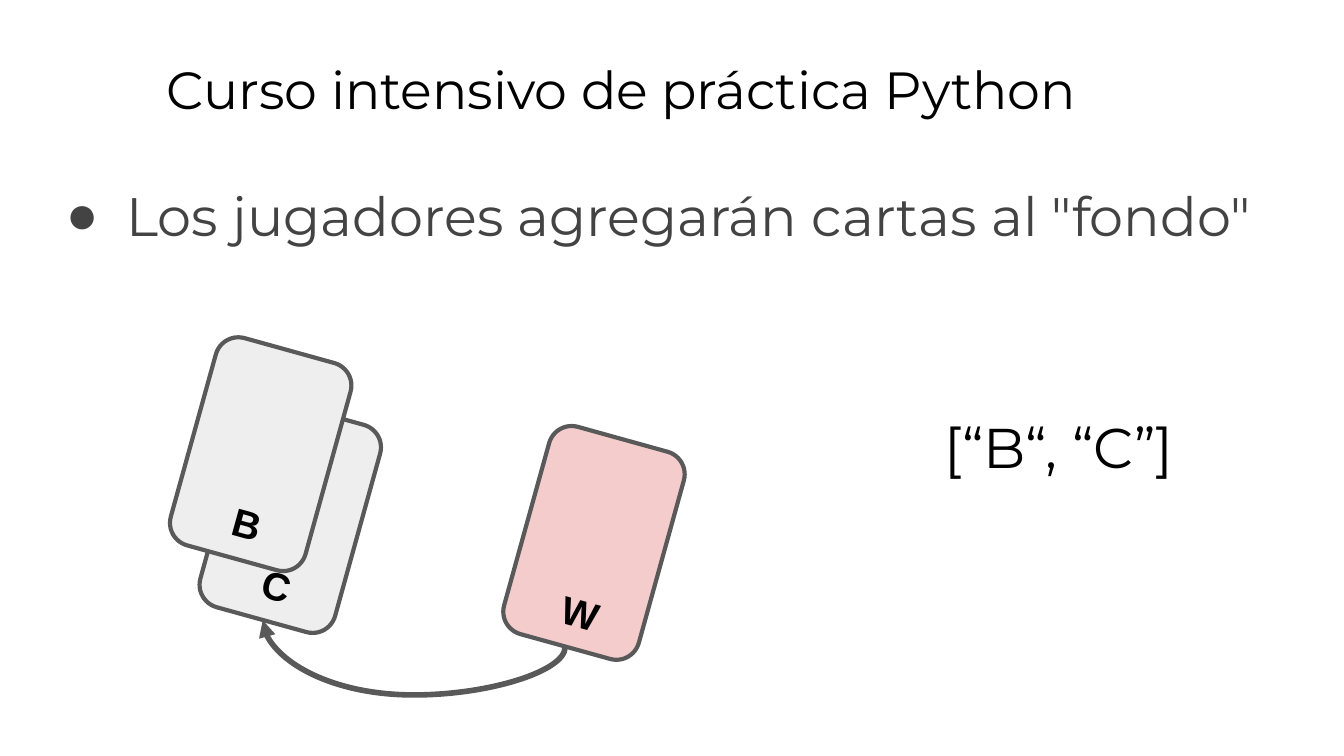
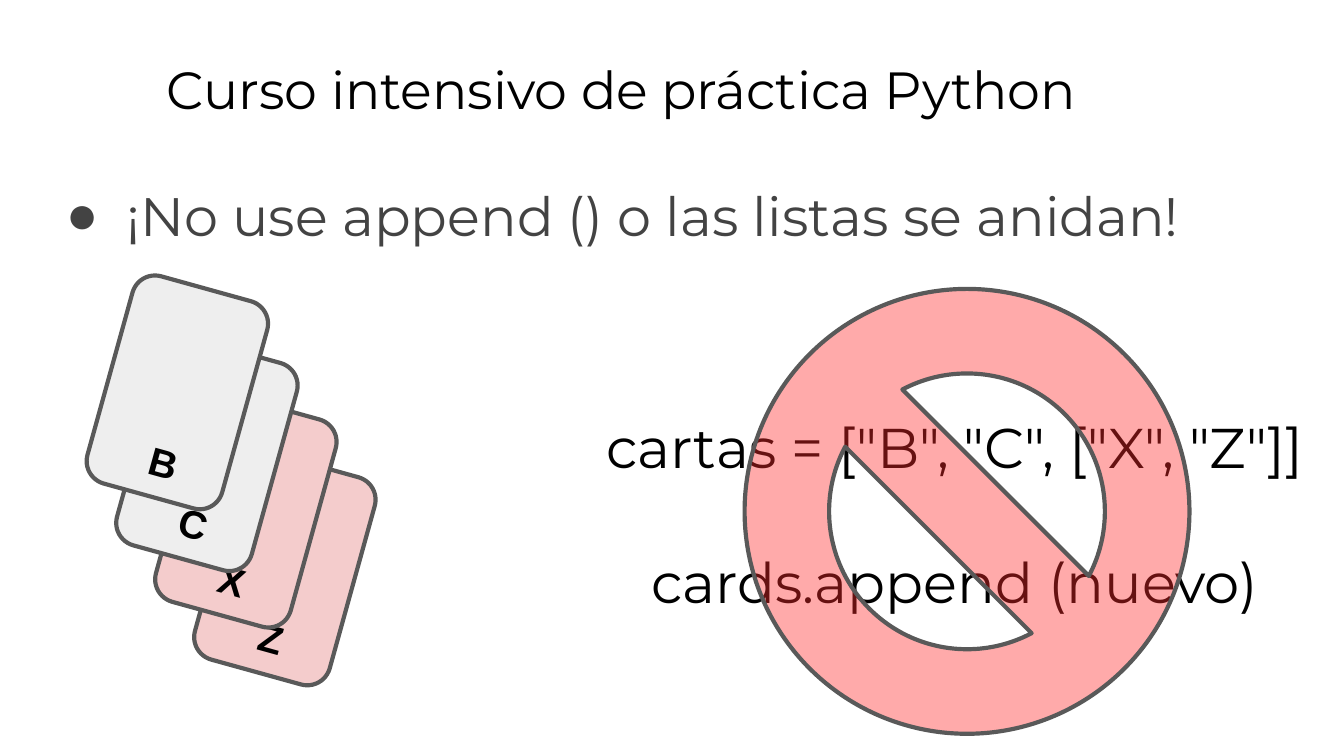
from dataclasses import dataclass

from lxml.etree import SubElement
from pptx import Presentation
from pptx.dml.color import RGBColor
from pptx.enum.shapes import MSO_CONNECTOR, MSO_SHAPE
from pptx.enum.text import MSO_ANCHOR, MSO_AUTO_SIZE, PP_ALIGN
from pptx.oxml.ns import qn
from pptx.shapes.autoshape import Shape
from pptx.slide import Slide
from pptx.text.text import TextFrame, _Paragraph
from pptx.util import Emu, Inches, Pt

SLIDE_WIDTH = Inches(10)
SLIDE_HEIGHT = Emu(SLIDE_WIDTH * 9 // 16)
CELL = SLIDE_WIDTH // 100
INSET = 1

BLACK, BODY_GRAY, OUTLINE = "000000", "434343", "595959"
CARD_GRAY, CARD_PINK, BAN_RED = "EEEEEE", "F4CCCC", "FF2C2C"
TEXT_FONT, CARD_FONT = "Montserrat", "Arial"
COURSE_TITLE = "Curso intensivo de práctica Python"

CARD_TILT = 15.5
PILE_OFFSETS = ((0, 0), (2.2, 4.6), (5.1, 8.8), (8, 13.1))


@dataclass(frozen=True)
class Area:
    column: float
    row: float
    columns: float
    rows: float

    def lengths(self) -> tuple[Emu, Emu, Emu, Emu]:
        return (grid(self.column), grid(self.row), grid(self.columns), grid(self.rows))


@dataclass(frozen=True)
class Card:
    letter: str
    fill: str = CARD_GRAY


@dataclass(frozen=True)
class TextStyle:
    size: float
    color: str = BLACK
    font: str = TEXT_FONT
    bold: bool = False


TITLE_AREA = Area(11.4, 3.25, 85.2, 6.3)
BODY_AREA = Area(3.4, 12.6, 95, 11)
TITLE_STYLE = TextStyle(28)
BODY_STYLE = TextStyle(29, BODY_GRAY)
CODE_STYLE = TextStyle(30)
CARD_STYLE = TextStyle(21, font=CARD_FONT, bold=True)


def grid(cells: float) -> Emu:
    return Emu(round(cells * CELL))


def rgb(color: str) -> RGBColor:
    return RGBColor.from_string(color)


def prepare_frame(frame: TextFrame, anchor: MSO_ANCHOR = MSO_ANCHOR.TOP) -> None:
    frame.word_wrap = True
    frame.auto_size = MSO_AUTO_SIZE.NONE
    frame.vertical_anchor = anchor
    frame.margin_left = frame.margin_right = grid(INSET)
    frame.margin_top = frame.margin_bottom = grid(INSET)


def write(paragraph: _Paragraph, text: str, style: TextStyle, alignment: PP_ALIGN) -> None:
    paragraph.alignment = alignment
    paragraph.space_before = Pt(0)
    run = paragraph.add_run()
    run.text = text
    run.font.name = style.font
    run.font.size = Pt(style.size)
    run.font.bold = style.bold
    run.font.color.rgb = rgb(style.color)


def add_bullet(paragraph: _Paragraph) -> None:
    properties = paragraph._p.get_or_add_pPr()
    properties.set("marL", str(Inches(0.5)))
    properties.set("indent", str(-Inches(0.45)))
    color = SubElement(properties, qn("a:buClr"))
    SubElement(color, qn("a:srgbClr"), val=BODY_GRAY)
    SubElement(properties, qn("a:buFont"), typeface=CARD_FONT)
    SubElement(properties, qn("a:buChar"), char="●")


def fill_placeholder(shape: Shape, area: Area, text: str, style: TextStyle) -> _Paragraph:
    shape.left, shape.top, shape.width, shape.height = area.lengths()
    prepare_frame(shape.text_frame)
    paragraph = shape.text_frame.paragraphs[0]
    write(paragraph, text, style, PP_ALIGN.LEFT)
    return paragraph


def add_course_slide(presentation: Presentation, point: str) -> Slide:
    slide = presentation.slides.add_slide(presentation.slide_layouts[1])
    fill_placeholder(slide.shapes.title, TITLE_AREA, COURSE_TITLE, TITLE_STYLE)
    add_bullet(fill_placeholder(slide.placeholders[1], BODY_AREA, point, BODY_STYLE))
    return slide


def add_outlined(slide: Slide, kind: MSO_SHAPE, area: Area, fill: str) -> Shape:
    shape = slide.shapes.add_shape(kind, *area.lengths())
    shape.shadow.inherit = False
    shape.fill.solid()
    shape.fill.fore_color.rgb = rgb(fill)
    shape.line.color.rgb = rgb(OUTLINE)
    shape.line.width = Pt(2.25)
    return shape


def add_card(slide: Slide, card: Card, column: float, row: float) -> None:
    shape = add_outlined(slide, MSO_SHAPE.ROUNDED_RECTANGLE, Area(column, row, 10.4, 16), card.fill)
    shape.rotation = CARD_TILT
    frame = shape.text_frame
    prepare_frame(frame, MSO_ANCHOR.BOTTOM)
    frame.margin_left = grid(INSET + 0.8)
    frame.margin_bottom = grid(0.5)
    write(frame.paragraphs[0], card.letter, CARD_STYLE, PP_ALIGN.CENTER)


def add_pile(slide: Slide, cards: list[Card], column: float, row: float) -> None:
    for card, (right, down) in reversed(list(zip(cards, PILE_OFFSETS))):
        add_card(slide, card, column + right, row + down)


def add_code(slide: Slide, area: Area, lines: list[str]) -> None:
    frame = slide.shapes.add_textbox(*area.lengths()).text_frame
    prepare_frame(frame)
    for index, line in enumerate(lines):
        paragraph = frame.add_paragraph() if index else frame.paragraphs[0]
        write(paragraph, line, CODE_STYLE, PP_ALIGN.CENTER)
        if index:
            paragraph.space_before = Pt(36.5)


def add_bottom_arrow(slide: Slide, area: Area, bend: float) -> None:
    left, top, width, height = area.lengths()
    arrow = slide.shapes.add_connector(
        MSO_CONNECTOR.CURVE, left + width, top, left, top + height
    )
    arrow.line.color.rgb = rgb(OUTLINE)
    arrow.line.width = Pt(3)
    properties = arrow._element.spPr
    properties.find(qn("a:xfrm")).set("rot", str(90 * 60000))
    adjustments = properties.find(qn("a:prstGeom")).find(qn("a:avLst"))
    SubElement(adjustments, qn("a:gd"), name="adj1", fmla=f"val {round(bend * 100000)}")
    SubElement(properties.find(qn("a:ln")), qn("a:tailEnd"), type="triangle")
    SubElement(properties, qn("a:effectLst"))


def add_ban_sign(slide: Slide, area: Area) -> None:
    sign = add_outlined(slide, MSO_SHAPE.NO_SYMBOL, area, BAN_RED)
    sign.adjustments[0] = 0.19
    color = sign._element.spPr.find(qn("a:solidFill")).find(qn("a:srgbClr"))
    SubElement(color, qn("a:alpha"), val="40000")


def build_bottom_slide(presentation: Presentation) -> None:
    slide = add_course_slide(presentation, 'Los jugadores agregarán cartas al "fondo"')
    add_pile(slide, [Card("B"), Card("C")], 14.2, 25.8)
    add_code(slide, Area(60.7, 29.7, 36.2, 9.5), ["[“B“, “C”]"])
    add_card(slide, Card("W", CARD_PINK), 39, 32.4)
    add_bottom_arrow(slide, Area(29.8, 35.9, 2, 22.5), -1.78)


def build_append_slide(presentation: Presentation) -> None:
    slide = add_course_slide(presentation, "¡No use append () o las listas se anidan!")
    cards = [Card("B"), Card("C"), Card("X", CARD_PINK), Card("Z", CARD_PINK)]
    add_pile(slide, cards, 8, 21.2)
    code = ['cartas = ["B", "C", ["X", "Z"]]', "cards.append (nuevo)"]
    add_code(slide, Area(42.1, 29.7, 57.9, 9.5), code)
    add_ban_sign(slide, Area(55.4, 21.5, 33.1, 33.1))


def main() -> None:
    presentation = Presentation()
    presentation.slide_width = SLIDE_WIDTH
    presentation.slide_height = SLIDE_HEIGHT
    build_bottom_slide(presentation)
    build_append_slide(presentation)
    presentation.save("out.pptx")


if __name__ == "__main__":
    main()
